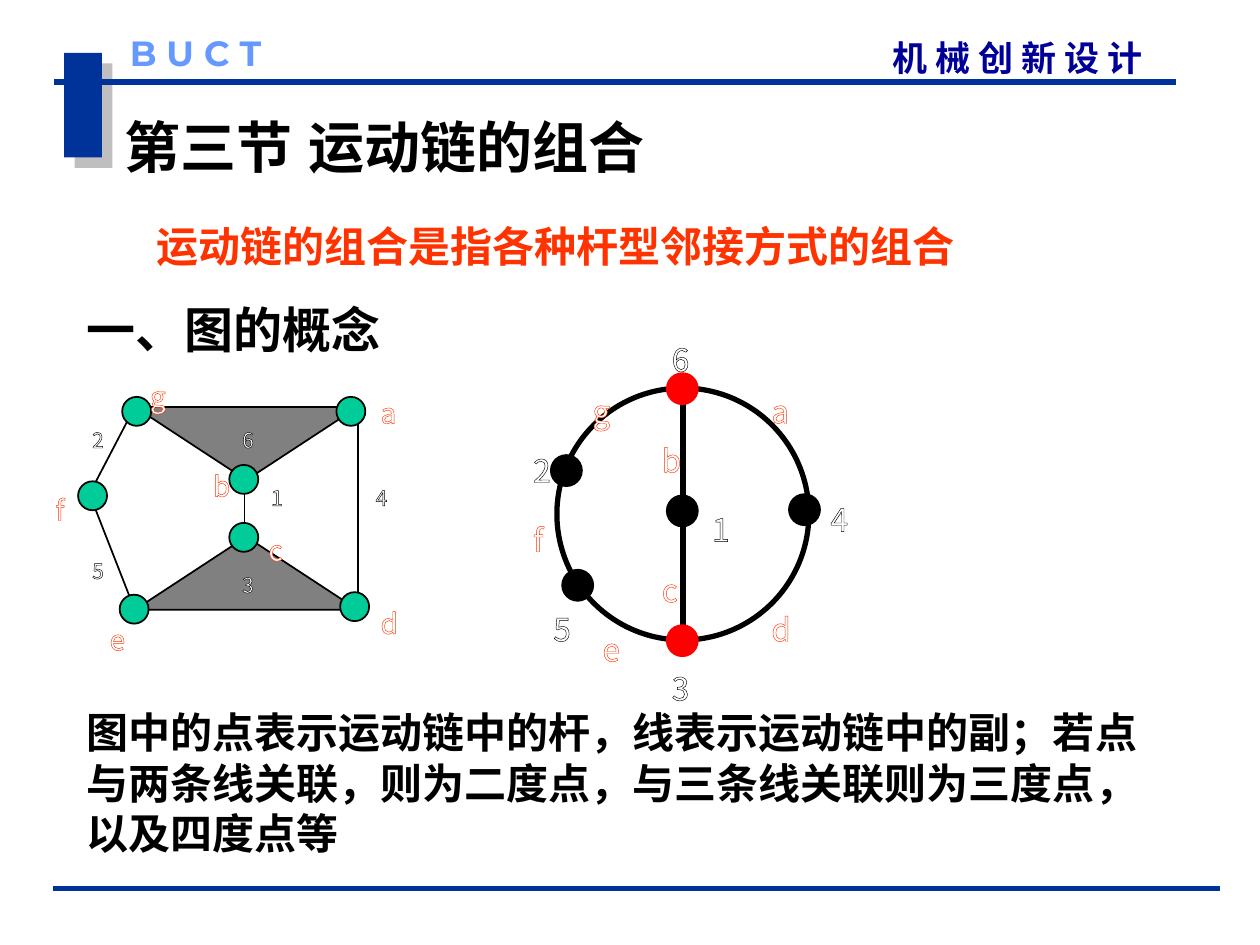
from dataclasses import dataclass

from lxml import etree
from pptx import Presentation
from pptx import util as u
from pptx.dml.color import RGBColor
from pptx.enum import lang, shapes, text
from pptx.oxml import parse_xml
from pptx.oxml.ns import nsdecls, qn


@dataclass(frozen=True)
class Theme:
    navy: str = "003399"
    header: str = "000099"
    mark: str = "6699FF"
    black: str = "000000"
    white: str = "FFFFFF"
    accent: str = "FF3300"
    red: str = "FF0000"
    green: str = "00CC99"
    gray: str = "808080"
    latin: str = "Arial"
    chinese: str = "Noto Sans CJK SC"
    display: str = "Montserrat"
    title: int = 32
    heading: int = 28
    body: int = 24
    running: int = 20
    circle_label: int = 18
    joint_label: int = 16
    link_label: int = 12


THEME = Theme()


@dataclass(frozen=True)
class TextBlock:
    words: str
    box: tuple
    size: int
    color: str
    font: str = THEME.latin
    inset: tuple = (0.1, 0.05)
    align: text.PP_ALIGN = text.PP_ALIGN.LEFT


@dataclass(frozen=True)
class Label:
    words: str
    left: float
    top: float


@dataclass(frozen=True)
class LabelStyle:
    size: int
    color: str
    width: float
    height: float


def inches(values) -> list:
    return [u.Inches(value) for value in values]


def apply_format(target, values: dict) -> None:
    for name, value in values.items():
        setattr(target, name, value)


def format_font(paragraph, name: str, size: int, color: str, bold: bool):
    font = paragraph.runs[0].font
    apply_format(font, {"name": name, "size": u.Pt(size), "bold": bold,
                        "language_id": lang.MSO_LANGUAGE_ID.SIMPLIFIED_CHINESE})
    font.color.rgb = RGBColor.from_string(color)
    properties = paragraph.runs[0]._r.get_or_add_rPr()
    etree.SubElement(properties, qn("a:ea")).set("typeface", name)
    return properties


def write_block(shape, block: TextBlock) -> None:
    apply_format(shape, dict(zip(("left", "top", "width", "height"), inches(block.box))))
    side, edge = inches(block.inset)
    frame = shape.text_frame
    apply_format(frame, {
        "text": block.words, "word_wrap": True, "auto_size": text.MSO_AUTO_SIZE.NONE,
        "vertical_anchor": text.MSO_ANCHOR.TOP, "margin_left": side,
        "margin_right": side, "margin_top": edge, "margin_bottom": edge})
    paragraph = frame.paragraphs[0]
    apply_format(paragraph, {"alignment": block.align, "space_before": u.Pt(0),
                             "line_spacing": u.Pt(1.2 * block.size)})
    format_font(paragraph, block.font, block.size, block.color, True)


def add_block(slide, block: TextBlock) -> None:
    write_block(slide.shapes.add_textbox(*inches(block.box)), block)


def add_label(parent, label: Label, style: LabelStyle) -> None:
    """Outlined white text, centred on its narrow box."""
    box = parent.shapes.add_textbox(
        *inches((label.left, label.top, style.width, style.height)))
    apply_format(box.text_frame, {"text": label.words, "word_wrap": False})
    paragraph = box.text_frame.paragraphs[0]
    paragraph.alignment = text.PP_ALIGN.CENTER
    properties = format_font(paragraph, THEME.chinese, style.size, THEME.white, False)
    properties.insert(0, parse_xml(
        f'<a:ln {nsdecls("a")} w="9525"><a:solidFill>'
        f'<a:srgbClr val="{style.color}"/></a:solidFill></a:ln>'))


def add_figure(parent, kind, box: tuple, fill: str, line: str | None = None,
               weight: float = 1, rotation: float = 0):
    shape = parent.shapes.add_shape(kind, *inches(box))
    apply_format(shape, {"rotation": rotation})
    shape.shadow.inherit = False
    shape.fill.solid()
    shape.fill.fore_color.rgb = RGBColor.from_string(fill)
    if line:
        shape.line.color.rgb = RGBColor.from_string(line)
        shape.line.width = u.Pt(weight)
    else:
        shape.line.fill.background()
    return shape


def add_line(parent, start: tuple, end: tuple, color: str, weight: float) -> None:
    line = parent.shapes.add_connector(
        shapes.MSO_CONNECTOR.STRAIGHT, *inches(start + end))
    line.line.color.rgb = RGBColor.from_string(color)
    line.line.width = u.Pt(weight)
    etree.SubElement(line._element.spPr, qn("a:effectLst"))


def draw_frame(slide) -> None:
    # Corner block with its soft gray shadow
    block = add_figure(slide, shapes.MSO_SHAPE.RECTANGLE, (0.51, 0.42, 0.3, 0.83), THEME.navy)
    effects = block._element.spPr.find(qn("a:effectLst"))
    effects.append(parse_xml(
        f'<a:outerShdw {nsdecls("a")} dist="{u.Pt(8.5)}" dir="2700000" algn="ctr" '
        f'rotWithShape="0"><a:srgbClr val="{THEME.gray}"><a:alpha val="50000"/>'
        '</a:srgbClr></a:outerShdw>'))
    # Rules and running heads
    add_line(slide, (0.43, 0.65), (9.33, 0.65), THEME.navy, 3)
    add_line(slide, (0.42, 7.05), (9.68, 7.05), THEME.navy, 3)
    add_block(slide, TextBlock("机 械 创 新 设 计", (5.44, 0.29, 3.63, 0.33), THEME.running,
                               THEME.header, THEME.chinese, (0, 0), text.PP_ALIGN.RIGHT))
    add_block(slide, TextBlock("B U C T", (1.03, 0.25, 1.42, 0.33), THEME.running,
                               THEME.mark, THEME.display, (0, 0)))


def draw_linkage(slide) -> None:
    group = slide.shapes.add_group_shape()
    left, middle, right = 1.07, 1.94, 2.84
    top, bottom, height = 3.23, 4.84, 0.58
    # Ternary links, then binary links
    for y, rotation in ((bottom - height, 0), (top, 180)):
        add_figure(group, shapes.MSO_SHAPE.ISOSCELES_TRIANGLE,
                   (left, y, right - left, height), THEME.gray, THEME.black, 1, rotation)
    outer = (0.71, 3.92)
    for start, end in (((right, top), (right, bottom)),
                       ((middle, top + height), (middle, bottom - height)),
                       ((left, top), outer), (outer, (left, bottom))):
        add_line(group, start, end, THEME.black, 1)
    # Joints
    for x, y in ((0.95, 4.72), (0.62, 3.82), (2.7, 4.7), (1.82, 4.15),
                 (1.82, 3.69), (2.67, 3.15), (0.97, 3.15)):
        add_figure(group, shapes.MSO_SHAPE.OVAL, (x, y, 0.23, 0.23), THEME.green, THEME.black)
    # Link numbers and joint letters
    numbers = LabelStyle(THEME.link_label, THEME.black, 0.12, 0.24)
    letters = LabelStyle(THEME.joint_label, THEME.accent, 0.09, 0.18)
    for label in (Label("6", 1.9, 3.34), Label("5", 0.71, 4.38), Label("4", 2.96, 3.8),
                  Label("3", 1.9, 4.49), Label("2", 0.71, 3.34), Label("1", 2.13, 3.8)):
        add_label(group, label, numbers)
    for label in (Label("a", 3.02, 3.09), Label("b", 1.69, 3.67), Label("c", 2.13, 4.18),
                  Label("d", 3.02, 4.76), Label("e", 0.87, 4.89), Label("f", 0.43, 3.86),
                  Label("g", 1.19, 2.96)):
        add_label(group, label, letters)


def draw_graph(slide) -> None:
    group = slide.shapes.add_group_shape()
    # Circle and its diameter
    add_figure(group, shapes.MSO_SHAPE.OVAL, (4.42, 3.08, 2, 2), THEME.white, THEME.black, 3)
    add_line(group, (5.42, 3.08), (5.42, 5.08), THEME.black, 3)
    # Vertices: red ones have degree three
    for x, y, color in ((5.29, 2.96, THEME.red), (5.29, 3.93, THEME.black),
                        (6.26, 3.92, THEME.black), (4.37, 3.61, THEME.black),
                        (4.46, 4.52, THEME.black), (5.29, 4.96, THEME.red)):
        add_figure(group, shapes.MSO_SHAPE.OVAL, (x, y, 0.25, 0.25), color, color, 0.75)
    # Vertex numbers and edge letters
    numbers = LabelStyle(THEME.circle_label, THEME.black, 0.12, 0.25)
    letters = LabelStyle(THEME.circle_label, THEME.accent, 0.12, 0.25)
    for label in (Label("1", 5.63, 4), Label("2", 4.21, 3.53), Label("3", 5.31, 5.26),
                  Label("4", 6.57, 3.92), Label("5", 4.37, 4.79), Label("6", 5.31, 2.65)):
        add_label(group, label, numbers)
    for label in (Label("a", 6.1, 3.06), Label("b", 5.23, 3.45), Label("c", 5.23, 4.48),
                  Label("d", 6.1, 4.79), Label("e", 4.76, 4.95), Label("f", 4.21, 4.08),
                  Label("g", 4.68, 3.06)):
        add_label(group, label, letters)


def main() -> None:
    presentation = Presentation()
    apply_format(presentation, {"slide_width": u.Inches(10), "slide_height": u.Inches(7.5)})
    slide = presentation.slides.add_slide(presentation.slide_layouts[1])
    draw_frame(slide)

    # Title, statement and heading
    write_block(slide.shapes.title, TextBlock(
        "第三节 运动链的组合", (0.89, 0.84, 6.93, 0.64), THEME.title, THEME.black))
    add_block(slide, TextBlock("运动链的组合是指各种杆型邻接方式的组合",
                               (1.14, 1.7, 7.32, 0.5), THEME.body, THEME.accent))
    add_block(slide, TextBlock("一、图的概念", (0.59, 2.33, 3.07, 0.57),
                               THEME.heading, THEME.black))
    draw_linkage(slide)
    draw_graph(slide)

    # Explanation, without bullet or indent
    body = slide.placeholders[1]
    write_block(body, TextBlock(
        "图中的点表示运动链中的杆，线表示运动链中的副；若点与两条线关联，"
        "则为二度点，与三条线关联则为三度点，以及四度点等",
        (0.59, 5.56, 8.66, 1.3), THEME.body, THEME.black))
    properties = body.text_frame.paragraphs[0]._p.get_or_add_pPr()
    for name in ("marL", "indent"):
        properties.set(name, "0")
    etree.SubElement(properties, qn("a:buNone"))
    presentation.save("out.pptx")


if __name__ == "__main__":
    main()
